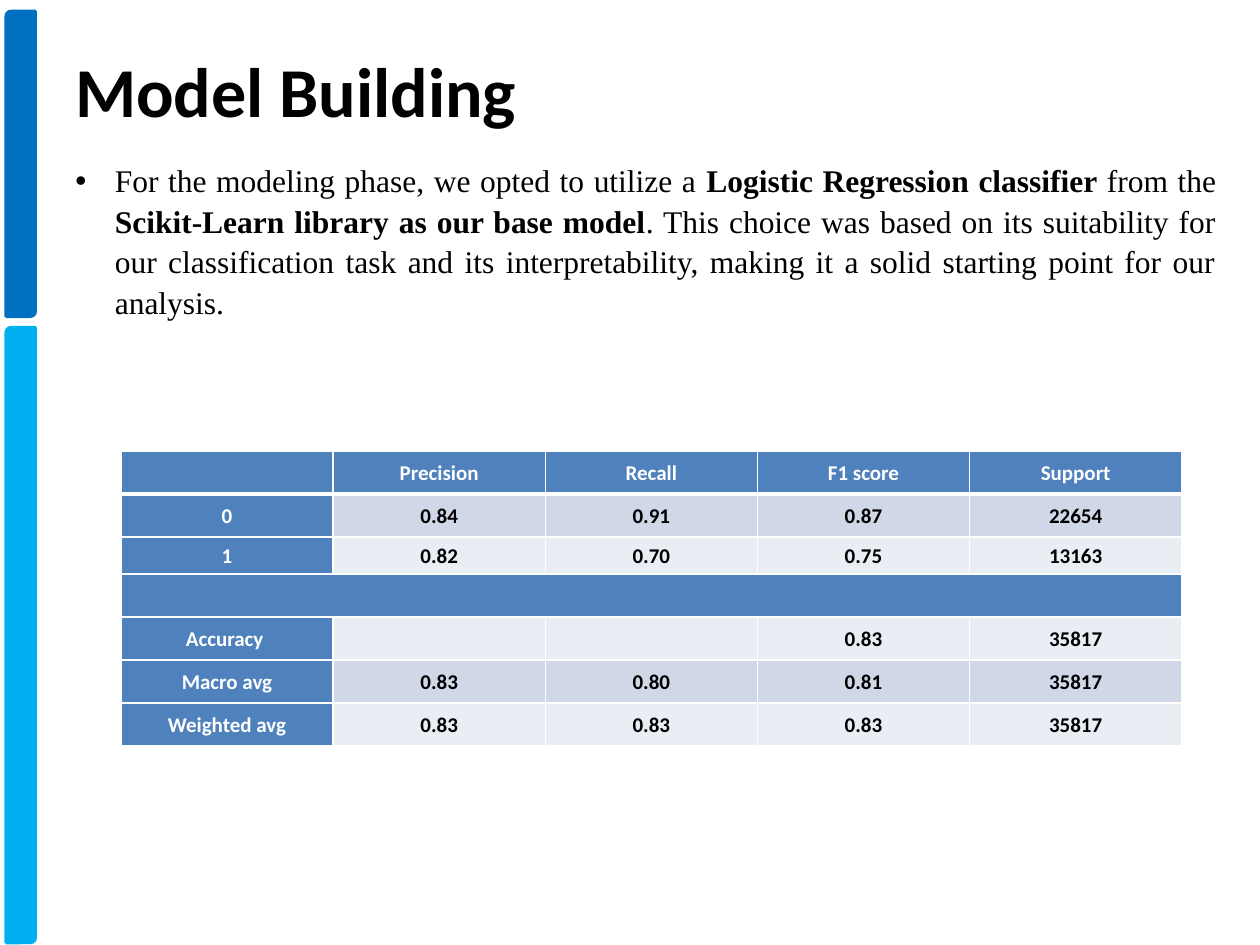
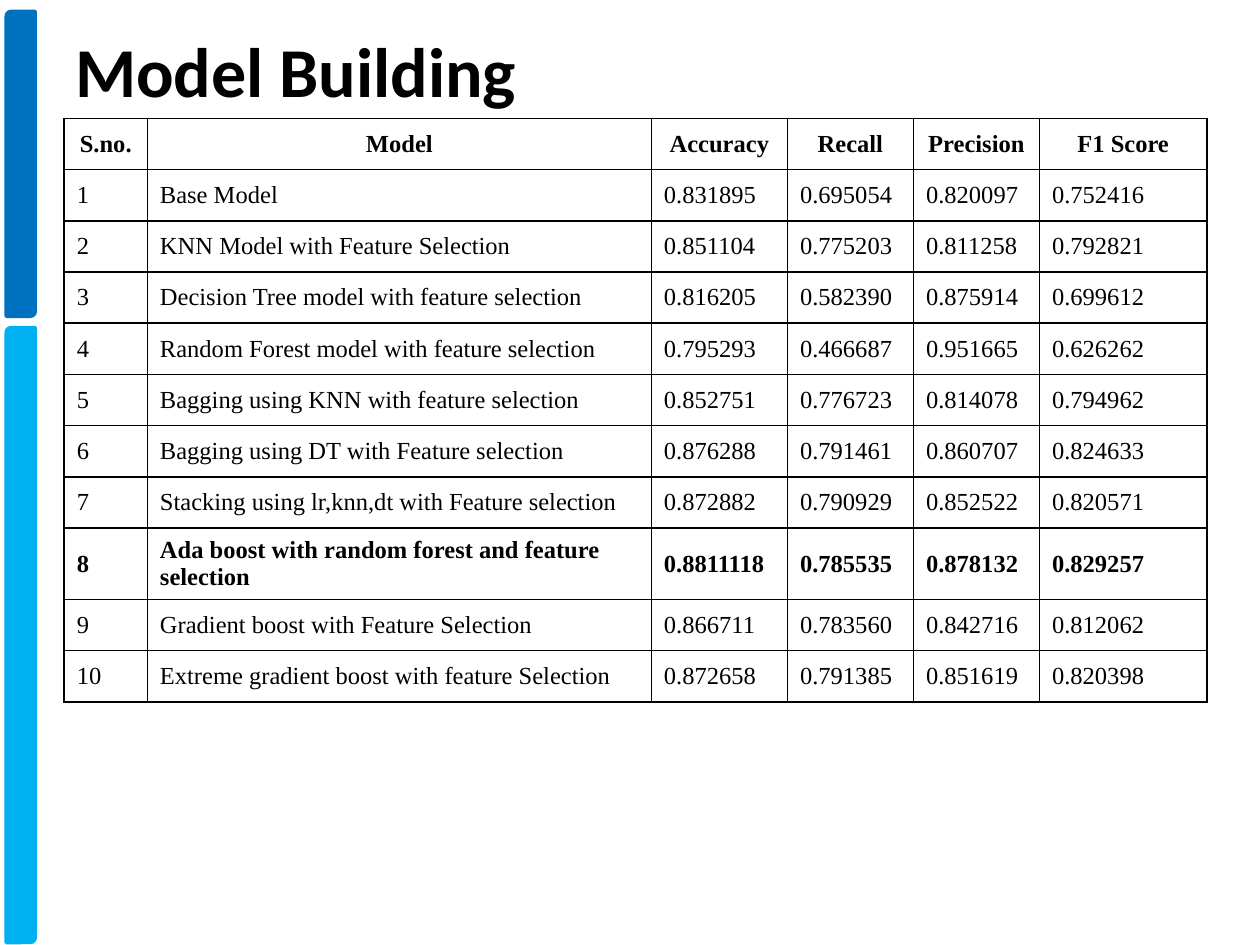
from dataclasses import dataclass

from lxml import etree
from pptx import Presentation
from pptx.dml.color import RGBColor
from pptx.enum.shapes import MSO_SHAPE
from pptx.enum.text import MSO_ANCHOR, MSO_AUTO_SIZE, PP_ALIGN
from pptx.oxml.ns import qn
from pptx.util import Inches, Pt

BAND_SHAPE = MSO_SHAPE.ROUND_2_DIAG_RECTANGLE
MIDDLE = MSO_ANCHOR.MIDDLE
FIT_TEXT = MSO_AUTO_SIZE.SHAPE_TO_FIT_TEXT
LEFT, CENTER, JUSTIFY = PP_ALIGN.LEFT, PP_ALIGN.CENTER, PP_ALIGN.JUSTIFY
SLIDE_WIDTH, SLIDE_HEIGHT = Inches(10), Inches(7.5)
BLANK_LAYOUT = 6


@dataclass(frozen=True)
class Theme:
    band_dark: str = "0070C0"
    band_light: str = "00B0F0"
    ink: str = "000000"
    paper: str = "FFFFFF"
    header: str = "4F81BD"
    stripes: tuple = ("E9EDF4", "D0D8E8")
    sans: str = "Calibri"
    serif: str = "Times New Roman"
    title_size: int = 40
    body_size: int = 18
    scores_size: int = 12
    models_size: int = 14


THEME = Theme()

# Top and height as percentages of the slide's height, then the colour.
BANDS = ((1.2, 32.27, THEME.band_dark), (34.67, 65.07, THEME.band_light))

# Each part of the sentence and whether it is bold.
MODEL_CHOICE = (
    ("For the modeling phase, we opted to utilize a ", False),
    ("Logistic Regression classifier ", True),
    ("from the ", False),
    ("Scikit-Learn library as our base model", True),
    (". This choice was based on its suitability for our classification task "
     "and its interpretability, making it a solid starting point for our "
     "analysis.", False),
)

# A row with a single entry spans the whole table.
BASE_SCORES = (
    ("", "Precision", "Recall", "F1 score", "Support"),
    ("0", "0.84", "0.91", "0.87", "22654"),
    ("1", "0.82", "0.70", "0.75", "13163"),
    ("",),
    ("Accuracy ", "", "", "0.83", "35817"),
    ("Macro avg", "0.83", "0.80", "0.81", "35817"),
    ("Weighted avg", "0.83", "0.83", "0.83", "35817"),
)

BEST_MODEL = 8
MODEL_HEADINGS = ("S.no.", "Model", "Accuracy", "Recall", "Precision", "F1 Score")
MODEL_SCORES = (
    ("Base Model", "0.831895", "0.695054", "0.820097", "0.752416"),
    ("KNN Model with Feature Selection",
     "0.851104", "0.775203", "0.811258", "0.792821"),
    ("Decision Tree model with feature selection",
     "0.816205", "0.582390", "0.875914", "0.699612"),
    ("Random Forest model with feature selection",
     "0.795293", "0.466687", "0.951665", "0.626262"),
    ("Bagging using KNN with feature selection",
     "0.852751", "0.776723", "0.814078", "0.794962"),
    ("Bagging using DT with Feature selection",
     "0.876288", "0.791461", "0.860707", "0.824633"),
    ("Stacking using lr,knn,dt with Feature selection",
     "0.872882", "0.790929", "0.852522", "0.820571"),
    ("Ada boost with random forest and feature selection",
     "0.8811118", "0.785535", "0.878132", "0.829257"),
    ("Gradient boost with Feature Selection",
     "0.866711", "0.783560", "0.842716", "0.812062"),
    ("Extreme gradient boost with feature Selection",
     "0.872658", "0.791385", "0.851619", "0.820398"),
)


def across(percent):
    return round(SLIDE_WIDTH * percent / 100)


def down(percent):
    return round(SLIDE_HEIGHT * percent / 100)


def area(left, top, width, height):
    """Turn percentages of the slide into a position and a size."""
    return across(left), down(top), across(width), down(height)


def color(code):
    return RGBColor.from_string(code)


def set_all(target, values):
    for name, value in values.items():
        setattr(target, name, value)


def add_run(paragraph, text, size, font, ink=THEME.ink, bold=False):
    run = paragraph.add_run()
    run.text = text
    set_all(run.font, {"size": Pt(size), "name": font, "bold": bold})
    run.font.color.rgb = color(ink)


def add_bands(slide):
    for top, height, shade in BANDS:
        band = slide.shapes.add_shape(BAND_SHAPE, *area(0.5, top, 2.3, height))
        band.shadow.inherit = False
        band.fill.solid()
        band.fill.fore_color.rgb = color(shade)
        band.line.color.rgb = color(shade)
        band.line.width = Pt(2)


def add_text_area(slide, box):
    """Add a wrapping text box and return its first paragraph."""
    frame = slide.shapes.add_textbox(*area(*box)).text_frame
    set_all(frame, {"word_wrap": True, "auto_size": FIT_TEXT})
    return frame.paragraphs[0]


def add_model_slide(deck, title_top):
    slide = deck.slides.add_slide(deck.slide_layouts[BLANK_LAYOUT])
    add_bands(slide)
    title = add_text_area(slide, (5, title_top, 93.4, 10.27))
    add_run(title, "Model Building", THEME.title_size, THEME.sans, bold=True)
    return slide


def add_bullet_text(slide, box, parts):
    paragraph = add_text_area(slide, box)
    set_all(paragraph, {"alignment": JUSTIFY, "line_spacing": 1.07,
                        "space_after": Pt(8)})
    indent = across(3.13)
    properties = paragraph._p.get_or_add_pPr()
    properties.set("marL", str(indent))
    properties.set("indent", str(-indent))
    etree.SubElement(properties, qn("a:buFont"), typeface="Arial")
    etree.SubElement(properties, qn("a:buChar"), char="•")
    for text, bold in parts:
        add_run(paragraph, text, THEME.body_size, THEME.serif, bold=bold)


def add_grid(slide, left, top, columns, rows):
    """Add an unstyled table from column and row sizes in percent."""
    box = area(left, top, sum(columns), sum(rows))
    table = slide.shapes.add_table(len(rows), len(columns), *box).table
    set_all(table, {"first_row": False, "horz_banding": False})
    for column, width in zip(table.columns, columns):
        column.width = across(width)
    for row, height in zip(table.rows, rows):
        row.height = down(height)
    return table


def set_borders(cell, ink, top=1, bottom=1):
    properties = cell._tc.get_or_add_tcPr()
    widths = {"a:lnL": 1, "a:lnR": 1, "a:lnT": top, "a:lnB": bottom}
    for side, width in widths.items():
        line = etree.SubElement(properties, qn(side), w=str(Pt(width)))
        fill = etree.SubElement(line, qn("a:solidFill"))
        etree.SubElement(fill, qn("a:srgbClr"), val=ink)


def write_cell(cell, text, size, font, align, ink=THEME.ink, bold=False,
               spacing=None):
    cell.vertical_anchor = MIDDLE
    paragraph = cell.text_frame.paragraphs[0]
    set_all(paragraph, {"alignment": align, "line_spacing": spacing})
    if text:
        add_run(paragraph, text, size, font, ink, bold)
    else:
        etree.SubElement(paragraph._p, qn("a:endParaRPr"), sz=str(size * 100))


def add_base_scores(slide):
    heights = [3.92 if number == 2 else 4.55 for number in range(len(BASE_SCORES))]
    table = add_grid(slide, 9.6, 47.73, [16.84] * 5, heights)
    margins = {"margin_left": across(0.7), "margin_right": across(0.7),
               "margin_top": 0, "margin_bottom": 0}
    for r, values in enumerate(BASE_SCORES):
        spans = len(values) == 1
        for c, text in enumerate(values * 5 if spans else values):
            cell = table.cell(r, c)
            heading = r == 0 or c == 0 or spans
            set_all(cell, margins)
            set_borders(cell, THEME.paper, top=3 if r == 1 else 1,
                        bottom=3 if r == 0 else 1)
            cell.fill.solid()
            cell.fill.fore_color.rgb = color(
                THEME.header if heading else THEME.stripes[r % 2])
            write_cell(cell, text, THEME.scores_size, THEME.sans, CENTER,
                       THEME.paper if heading else THEME.ink, True, 1.07)
        if spans:
            table.cell(r, 0).merge(table.cell(r, 4))


def add_model_comparison(slide):
    rows = [MODEL_HEADINGS]
    rows += [(str(n), *scores) for n, scores in enumerate(MODEL_SCORES, 1)]
    table = add_grid(slide, 5.1, 12.53, (6.6, 40, 10.8, 10, 10, 13.3),
                     [5.42] * len(rows))
    for r, values in enumerate(rows):
        for c, text in enumerate(values):
            cell = table.cell(r, c)
            set_borders(cell, THEME.ink)
            cell.fill.background()
            write_cell(cell, text, THEME.models_size, THEME.serif,
                       LEFT if r else CENTER, bold=r in (0, BEST_MODEL))


def main():
    deck = Presentation()
    set_all(deck, {"slide_width": SLIDE_WIDTH, "slide_height": SLIDE_HEIGHT})

    base_model = add_model_slide(deck, title_top=4.4)
    add_bullet_text(base_model, (5, 16.13, 92.5, 18.4), MODEL_CHOICE)
    add_base_scores(base_model)

    add_model_comparison(add_model_slide(deck, title_top=2.27))
    deck.save("out.pptx")


if __name__ == "__main__":
    main()
